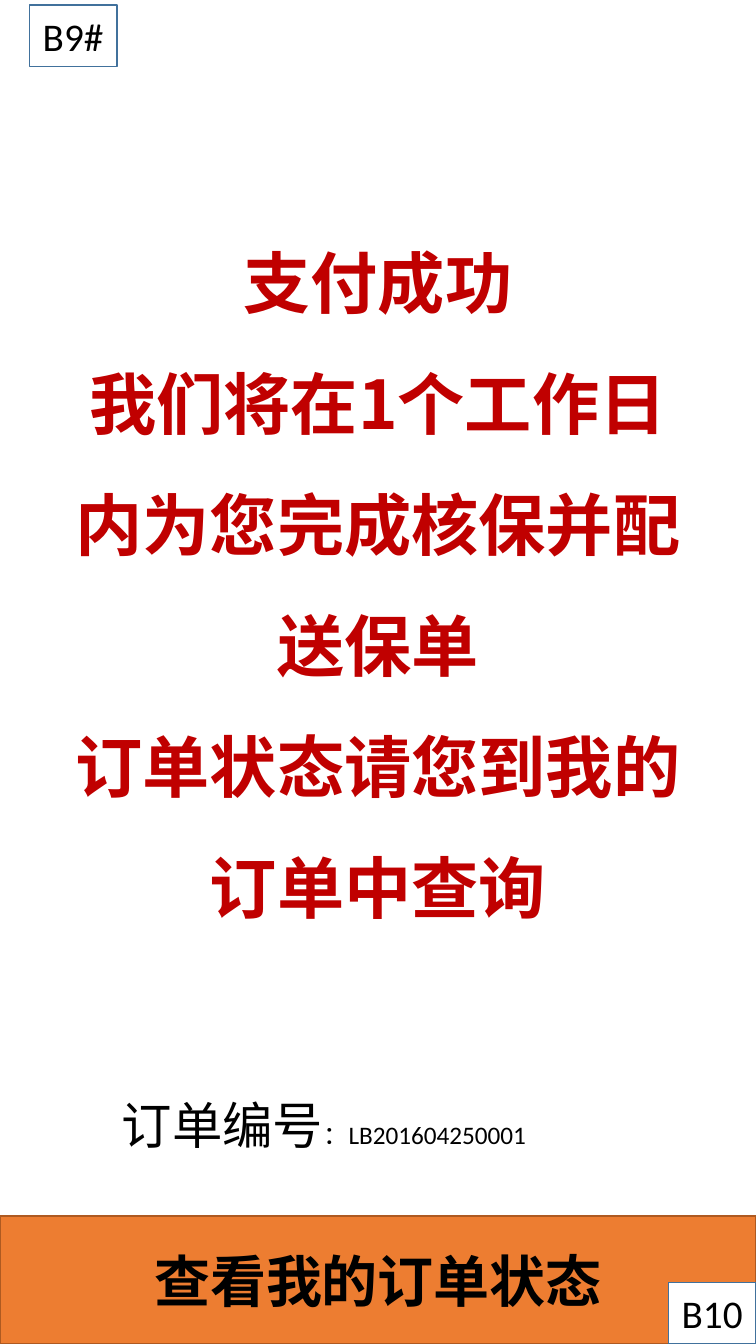
from dataclasses import dataclass

from lxml import etree
from pptx import Presentation
from pptx.dml.color import RGBColor
from pptx.enum.shapes import MSO_SHAPE
from pptx.enum.text import MSO_ANCHOR, MSO_AUTO_SIZE, PP_ALIGN
from pptx.oxml.ns import qn
from pptx.slide import Slide
from pptx.text.text import TextFrame, _Paragraph
from pptx.util import Inches, Pt

RECTANGLE = MSO_SHAPE.RECTANGLE
MIDDLE = MSO_ANCHOR.MIDDLE
GROW = MSO_AUTO_SIZE.SHAPE_TO_FIT_TEXT
LEFT, CENTER = PP_ALIGN.LEFT, PP_ALIGN.CENTER

WHITE = RGBColor(0xFF, 0xFF, 0xFF)
BLACK = RGBColor(0x00, 0x00, 0x00)
RED = RGBColor(0xC0, 0x00, 0x00)
BLUE = RGBColor(0x41, 0x71, 0x9C)
ORANGE = RGBColor(0xED, 0x7D, 0x31)
BROWN = RGBColor(0xAE, 0x5A, 0x21)

LATIN_FONT = "Calibri"
CHINESE_FONT = "Noto Sans CJK SC"

SLIDE_WIDTH, SLIDE_HEIGHT = 7.5, 13.34
TAG_WIDTH, TAG_HEIGHT = 0.87, 0.61
BUTTON_HEIGHT = 1.27


@dataclass(frozen=True)
class Box:
    left: float
    top: float
    width: float
    height: float


@dataclass(frozen=True)
class TextStyle:
    size: int
    font: str = LATIN_FONT
    color: RGBColor = BLACK
    bold: bool = False


@dataclass(frozen=True)
class Panel:
    box: Box
    text: str
    style: TextStyle
    fill: RGBColor
    outline: RGBColor


TAG_STYLE = TextStyle(28)
BUTTON_STYLE = TextStyle(40, CHINESE_FONT, bold=True)
MESSAGE_STYLE = TextStyle(48, CHINESE_FONT, RED, True)

PAGE_TAG = Panel(Box(0.29, 0.05, TAG_WIDTH, TAG_HEIGHT), "B9#", TAG_STYLE, WHITE, BLUE)
STATUS_BUTTON = Panel(
    Box(0, SLIDE_HEIGHT - BUTTON_HEIGHT, SLIDE_WIDTH, BUTTON_HEIGHT),
    "查看我的订单状态", BUTTON_STYLE, ORANGE, BROWN,
)
NEXT_TAG = Panel(
    Box(SLIDE_WIDTH - TAG_WIDTH, SLIDE_HEIGHT - TAG_HEIGHT, TAG_WIDTH, TAG_HEIGHT),
    "B10", TAG_STYLE, WHITE, BLUE,
)

MESSAGE_BOX = Box(0.63, 1.95, 6.24, 8.5)
MESSAGE = (
    "支付成功",
    "我们将在1个工作日内为您完成核保并配送保单",
    "订单状态请您到我的订单中查询",
)
ORDER_BOX = Box(1.11, 10.81, 5.64, 0.7)
ORDER_RUNS = (
    ("订单编号", TextStyle(36)),
    ("：LB201604250001", TextStyle(18)),
)


def lengths(box: Box) -> tuple:
    return tuple(Inches(value) for value in (box.left, box.top, box.width, box.height))


def add_run(paragraph: _Paragraph, text: str, style: TextStyle) -> None:
    run = paragraph.add_run()
    run.text = text
    font = run.font
    font.size = Pt(style.size)
    font.bold = style.bold
    font.name = style.font
    font.color.rgb = style.color
    east_asian = etree.SubElement(run._r.get_or_add_rPr(), qn("a:ea"))
    east_asian.set("typeface", CHINESE_FONT)


def add_panel(slide: Slide, panel: Panel) -> None:
    shape = slide.shapes.add_shape(RECTANGLE, *lengths(panel.box))
    shape.shadow.inherit = False
    shape.fill.solid()
    shape.fill.fore_color.rgb = panel.fill
    shape.line.color.rgb = panel.outline
    shape.line.width = Pt(1)
    text_frame = shape.text_frame
    text_frame.vertical_anchor = MIDDLE
    paragraph = text_frame.paragraphs[0]
    paragraph.alignment = CENTER
    add_run(paragraph, panel.text, panel.style)


def add_text_frame(slide: Slide, box: Box) -> TextFrame:
    text_frame = slide.shapes.add_textbox(*lengths(box)).text_frame
    text_frame.word_wrap = True
    text_frame.auto_size = GROW
    return text_frame


def add_message(slide: Slide) -> None:
    text_frame = add_text_frame(slide, MESSAGE_BOX)
    for index, text in enumerate(MESSAGE):
        paragraph = text_frame.add_paragraph() if index else text_frame.paragraphs[0]
        paragraph.alignment = CENTER
        paragraph.line_spacing = 1.5
        add_run(paragraph, text, MESSAGE_STYLE)


def add_order_number(slide: Slide) -> None:
    paragraph = add_text_frame(slide, ORDER_BOX).paragraphs[0]
    paragraph.alignment = LEFT
    for text, style in ORDER_RUNS:
        add_run(paragraph, text, style)


def main() -> None:
    presentation = Presentation()
    presentation.slide_width = Inches(SLIDE_WIDTH)
    presentation.slide_height = Inches(SLIDE_HEIGHT)
    slide = presentation.slides.add_slide(presentation.slide_layouts[6])
    add_panel(slide, PAGE_TAG)
    add_message(slide)
    add_panel(slide, STATUS_BUTTON)
    add_panel(slide, NEXT_TAG)
    add_order_number(slide)
    presentation.save("out.pptx")


if __name__ == "__main__":
    main()
